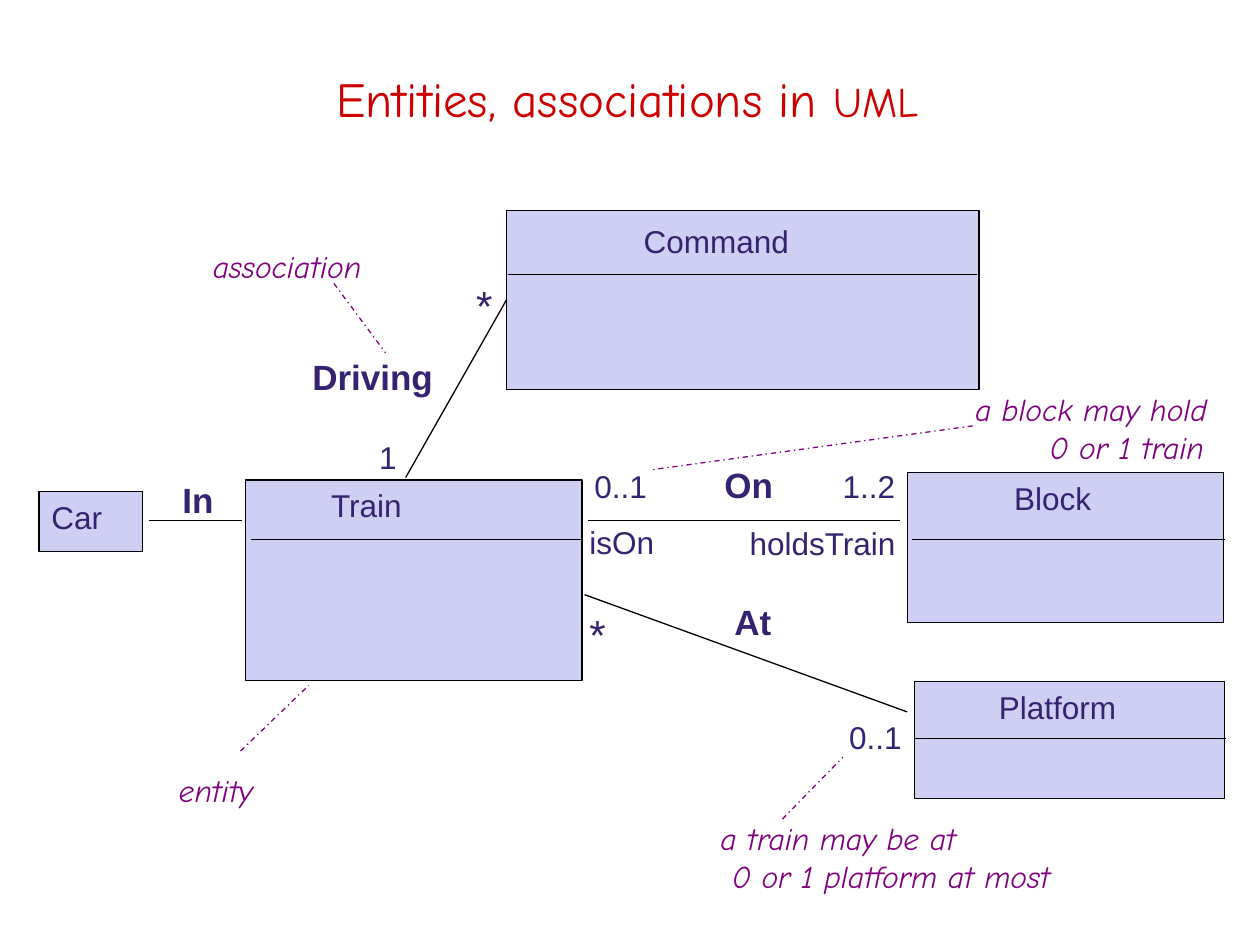
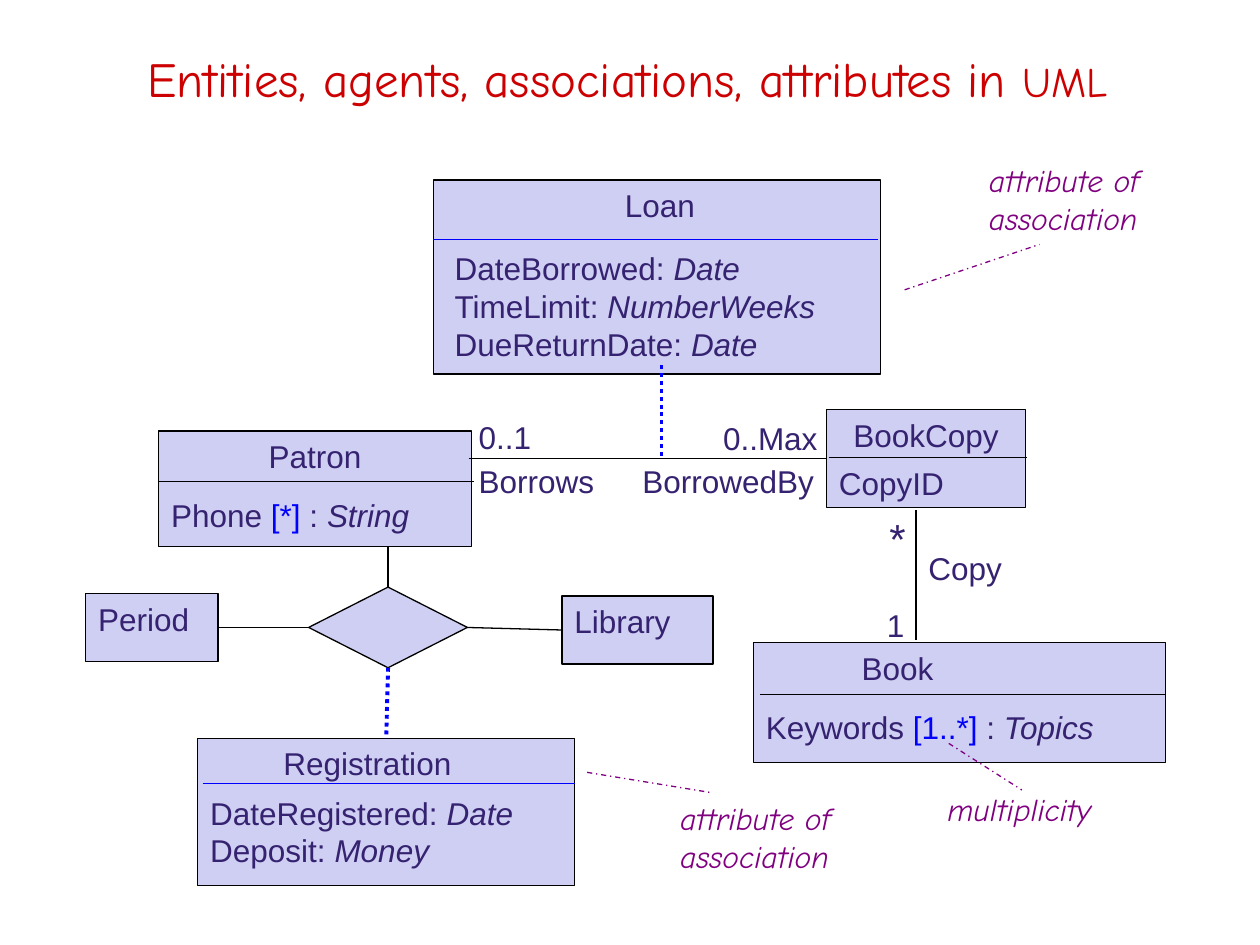
from dataclasses import dataclass, replace

from lxml import etree
from pptx import Presentation
from pptx.dml.color import RGBColor
from pptx.enum.dml import MSO_LINE
from pptx.enum.shapes import MSO_CONNECTOR, MSO_SHAPE
from pptx.enum.text import MSO_ANCHOR, PP_ALIGN
from pptx.oxml.ns import qn
from pptx.util import Inches, Pt

LEFT, CENTER = PP_ALIGN.LEFT, PP_ALIGN.CENTER
TOP_ANCHOR, MIDDLE_ANCHOR = MSO_ANCHOR.TOP, MSO_ANCHOR.MIDDLE
RECTANGLE, DIAMOND = MSO_SHAPE.RECTANGLE, MSO_SHAPE.FLOWCHART_DECISION
STRAIGHT = MSO_CONNECTOR.STRAIGHT
DASH_DOT, SQUARE_DOT = MSO_LINE.DASH_DOT, MSO_LINE.ROUND_DOT
TOP_SIDE, LEFT_SIDE, BOTTOM_SIDE, RIGHT_SIDE = range(4)
TITLE_ONLY = 5

WIDTH, HEIGHT = Inches(10), Inches(7.5)
COLUMN, ROW = WIDTH / 100, HEIGHT / 75


@dataclass(frozen=True)
class TextStyle:
    font: str
    size: float
    color: str
    bold: bool = False
    italic: bool = False


@dataclass(frozen=True)
class LineStyle:
    color: str
    width: float = 0.75
    dash: object = None


@dataclass(frozen=True)
class Theme:
    fill: str = "CECFF2"
    title: TextStyle = TextStyle("Comic Neue", 28, "CC0000")
    acronym: TextStyle = TextStyle("Comic Neue", 24, "CC0000")
    body: TextStyle = TextStyle("Arial", 18, "352270")
    kind: TextStyle = TextStyle("Arial", 18, "352270", italic=True)
    bound: TextStyle = TextStyle("Arial", 18, "0000FF")
    association: TextStyle = TextStyle("Arial", 20, "352270", bold=True)
    star: TextStyle = TextStyle("Arial", 24, "352270")
    note: TextStyle = TextStyle("Comic Neue", 18, "800080", italic=True)
    solid: LineStyle = LineStyle("000000")
    rule: LineStyle = LineStyle("0000FF")
    pointer: LineStyle = LineStyle("800080", dash=DASH_DOT)
    dotted: LineStyle = LineStyle("0000FF", 2.25, SQUARE_DOT)


THEME = Theme()


@dataclass(frozen=True)
class Line:
    pieces: tuple
    indent: float = 0
    before: float = 0
    align: object = LEFT


def text_line(text, style=THEME.body, **layout):
    return Line(((text, style),), **layout)


def attribute(name, kind, bound="", before=0):
    pieces = [(name + (" " if bound else ": "), THEME.body)]
    if bound:
        pieces += [(bound, THEME.bound), (" : ", THEME.body)]
    return Line((*pieces, (kind, THEME.kind)), before=before)


def grid_box(left, top, width, height):
    return (round(left * COLUMN), round(top * ROW),
            round(width * COLUMN), round(height * ROW))


def write_lines(text_frame, lines, anchor=TOP_ANCHOR):
    text_frame.word_wrap = True
    text_frame.vertical_anchor = anchor
    for index, line in enumerate(lines):
        paragraph = text_frame.add_paragraph() if index else text_frame.paragraphs[0]
        paragraph.alignment = line.align
        if line.indent:
            properties = paragraph._p.get_or_add_pPr()
            properties.set("marL", str(round(line.indent * COLUMN)))
            properties.set("indent", "0")
        if line.before:
            paragraph.space_before = Pt(line.before)
        for text, style in line.pieces:
            run = paragraph.add_run()
            run.text = text
            run.font.name = style.font
            run.font.size = Pt(style.size)
            run.font.bold = style.bold
            run.font.italic = style.italic
            run.font.color.rgb = RGBColor.from_string(style.color)


def style_line(line, style):
    line.color.rgb = RGBColor.from_string(style.color)
    line.width = Pt(style.width)
    if style.dash is not None:
        line.dash_style = style.dash


def add_titled_slide(presentation, text, top):
    slide = presentation.slides.add_slide(presentation.slide_layouts[TITLE_ONLY])
    title = slide.shapes.title
    title.left, title.top, title.width, title.height = grid_box(1.7, top, 96.2, 8.9)
    line = Line(((text + " in ", THEME.title), ("UML", THEME.acronym)), align=CENTER)
    write_lines(title.text_frame, [line], MIDDLE_ANCHOR)
    return slide


def add_entity(slide, place, *lines, preset=RECTANGLE):
    shape = slide.shapes.add_shape(preset, *grid_box(*place))
    shape.shadow.inherit = False
    shape.fill.solid()
    shape.fill.fore_color.rgb = RGBColor.from_string(THEME.fill)
    style_line(shape.line, THEME.solid)
    write_lines(shape.text_frame, lines)
    return shape


def add_label(slide, place, *lines):
    box = slide.shapes.add_textbox(*grid_box(*place))
    write_lines(box.text_frame, lines)


def add_labels(slide, style, labels):
    for text, *place in labels:
        add_label(slide, place, text_line(text, style))


def add_link(slide, start, end, style=THEME.solid, source=None, target=None):
    ends = [round(value * unit) for point in (start, end)
            for value, unit in zip(point, (COLUMN, ROW))]
    connector = slide.shapes.add_connector(STRAIGHT, *ends)
    style_line(connector.line, style)
    etree.SubElement(connector._element.spPr, qn("a:effectLst"))
    if source:
        connector.begin_connect(*source)
    if target:
        connector.end_connect(*target)


def add_links(slide, style, links):
    for start, end in links:
        add_link(slide, start, end, style)


def add_divider(slide, left, right, row, style=THEME.solid):
    add_link(slide, (left, row), (right, row), style)


def build_train_slide(presentation):
    slide = add_titled_slide(presentation, "Entities, associations", 3.3)

    command = add_entity(slide, (40.2, 16.7, 37.5, 14.2))
    for place, name, indent in (
        ((3.1, 39, 8.2, 4.8), "Car", 0),
        ((19.5, 38.1, 26.7, 15.9), "Train", 5.8),
        ((72, 37.5, 25.1, 11.9), "Block", 7.5),
        ((72.6, 54.1, 24.6, 9.3), "Platform", 5.7),
    ):
        add_entity(slide, place, text_line(name, indent=indent))

    for left, right, row in (
        (40.3, 77.5, 21.8), (19.9, 46.1, 42.8), (72.4, 97.2, 42.8), (72.6, 97.3, 58.6),
    ):
        add_divider(slide, left, right, row)

    add_links(slide, THEME.solid, (
        ((11.8, 41.3), (19.2, 41.3)),
        ((46.7, 41.3), (71.4, 41.3)),
        ((46.4, 47.2), (72, 56.5)),
    ))
    add_link(slide, (32.2, 37.9), (40.2, 23.8), target=(command, LEFT_SIDE))

    add_labels(slide, THEME.association, (
        ("In", 13.5, 37.5, 6.3, 5.2),
        ("Driving", 23.8, 27.7, 13.1, 6.4),
        ("On", 56.5, 36.3, 6.9, 6.4),
        ("At", 57.3, 47.2, 10.6, 6.4),
    ))
    add_labels(slide, THEME.body, (
        ("Command", 50.1, 17.1, 22.2, 5.6),
        ("1", 29.1, 34.3, 4.2, 4.7),
        ("0..1", 46.2, 36.6, 6.6, 6.9),
        ("1..2", 65.9, 36.6, 6.6, 6.9),
        ("0..1", 66.4, 56.5, 6.6, 6.9),
        ("isOn", 45.8, 41, 7.8, 6.9),
        ("holdsTrain", 58.5, 41.1, 15.9, 5.1),
    ))
    add_labels(slide, THEME.star, (
        ("*", 36.8, 21.7, 5, 5.2),
        ("*", 45.8, 47.8, 5, 5.2),
    ))

    add_labels(slide, THEME.note, (
        ("association", 15.9, 19.1, 18.8, 4.1),
        ("entity", 13.2, 60.7, 18.8, 4.1),
    ))
    add_label(slide, (76.4, 30.5, 21.7, 6.7),
              text_line("a block may hold", THEME.note),
              text_line("0 or 1 train", THEME.note, indent=5.9))
    add_label(slide, (56.2, 64.5, 33.3, 6.7),
              text_line("a train may be at", THEME.note),
              text_line("0 or 1 platform at most", THEME.note, indent=0.9))
    add_links(slide, THEME.pointer, (
        ((77.2, 33.8), (51.6, 37.3)),
        ((62.1, 65), (66.9, 60.1)),
        ((26.5, 22.5), (30.6, 28)),
        ((19.1, 59.6), (24.5, 54.4)),
    ))


def build_library_slide(presentation):
    slide = add_titled_slide(presentation, "Entities, agents, associations, attributes", 1.7)

    add_entity(slide, (34.4, 14.3, 35.5, 15.4), text_line("Loan", indent=14.2))
    add_entity(slide, (12.6, 34.2, 24.8, 9.2),
               text_line("Patron", align=CENTER),
               attribute("Phone", "String", "[*]", before=12))
    book_copy = add_entity(slide, (65.6, 32.5, 15.8, 7.8),
                           text_line("BookCopy", align=CENTER),
                           text_line("CopyID", before=6))
    add_entity(slide, (59.8, 51, 32.7, 9.5),
               text_line("Book", indent=7.6),
               attribute("Keywords", "Topics", "[1..*]", before=12))
    period = add_entity(slide, (6.8, 47.1, 10.5, 5.4), text_line("Period"))
    library = add_entity(slide, (44.6, 47.3, 12, 5.4), text_line("Library"))
    registration = add_entity(slide, (15.7, 58.6, 29.9, 11.7),
                              text_line("Registration", indent=5.8))
    registering = add_entity(slide, (24.5, 46.6, 12.6, 6.4), preset=DIAMOND)

    add_label(slide, (35.1, 19.3, 34.9, 7.7),
              attribute("DateBorrowed", "Date"),
              attribute("TimeLimit", "NumberWeeks"),
              attribute("DueReturnDate", "Date"))
    add_label(slide, (15.7, 62.5, 29.8, 7.6),
              attribute("DateRegistered", "Date"),
              attribute("Deposit", "Money"))

    for left, right, row, style in (
        (34.4, 69.7, 19, THEME.rule), (16.1, 45.6, 62.2, THEME.rule),
        (12.6, 37.6, 38.2, THEME.solid), (65.8, 81.5, 36.3, THEME.solid),
        (60.3, 92.5, 55.1, THEME.solid),
    ):
        add_divider(slide, left, right, row, style)

    add_link(slide, (37.2, 36.4), (65.6, 36.4), target=(book_copy, LEFT_SIDE))
    add_link(slide, (72.7, 40.5), (72.7, 50.8))
    add_link(slide, (30.8, 43.4), (30.8, 46.6), target=(registering, TOP_SIDE))
    add_link(slide, (17.3, 49.8), (24.5, 49.8),
             source=(period, RIGHT_SIDE), target=(registering, LEFT_SIDE))
    add_link(slide, (37.1, 49.8), (44.6, 50),
             source=(registering, RIGHT_SIDE), target=(library, LEFT_SIDE))
    add_link(slide, (52.5, 29), (52.5, 36.3), THEME.dotted)
    add_link(slide, (30.8, 53), (30.7, 58.6), THEME.dotted,
             source=(registering, BOTTOM_SIDE), target=(registration, TOP_SIDE))

    add_labels(slide, THEME.body, (
        ("0..1", 37, 32.7, 6.2, 4.6),
        ("0..Max", 56.4, 32.8, 10.6, 4.6),
        ("Borrows", 37, 36.2, 13.1, 4.6),
        ("BorrowedBy", 50, 36.2, 16.2, 4.6),
        ("Copy", 72.7, 43.1, 10, 4.6),
        ("1", 69.4, 47.6, 5.5, 4.6),
    ))
    add_labels(slide, THEME.star, (("*", 69.6, 40.2, 5.5, 4.6),))
    add_labels(slide, THEME.note, (
        ("attribute of association", 77.5, 12.3, 19.7, 7.4),
        ("attribute of association", 53, 62.9, 19.7, 7.4),
        ("multiplicity", 74.2, 62.2, 17.7, 4.4),
    ))
    add_links(slide, THEME.pointer, (
        ((71.8, 23), (82.5, 19.4)),
        ((46.6, 61.3), (56.4, 62.9)),
        ((75.3, 59), (81.1, 62.7)),
    ))


def main():
    presentation = Presentation()
    presentation.slide_width, presentation.slide_height = WIDTH, HEIGHT
    build_train_slide(presentation)
    build_library_slide(presentation)
    presentation.save("out.pptx")


if __name__ == "__main__":
    main()
